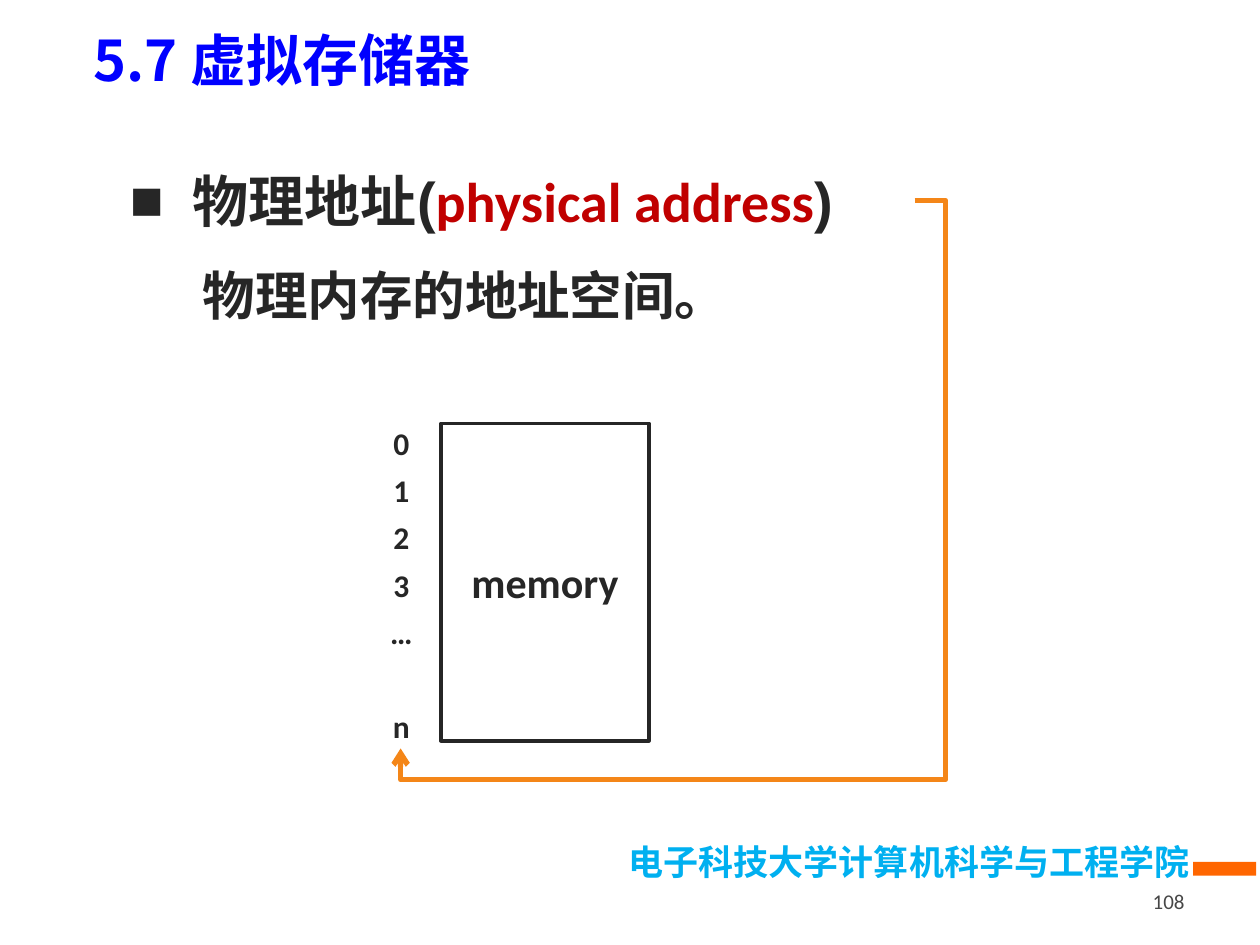
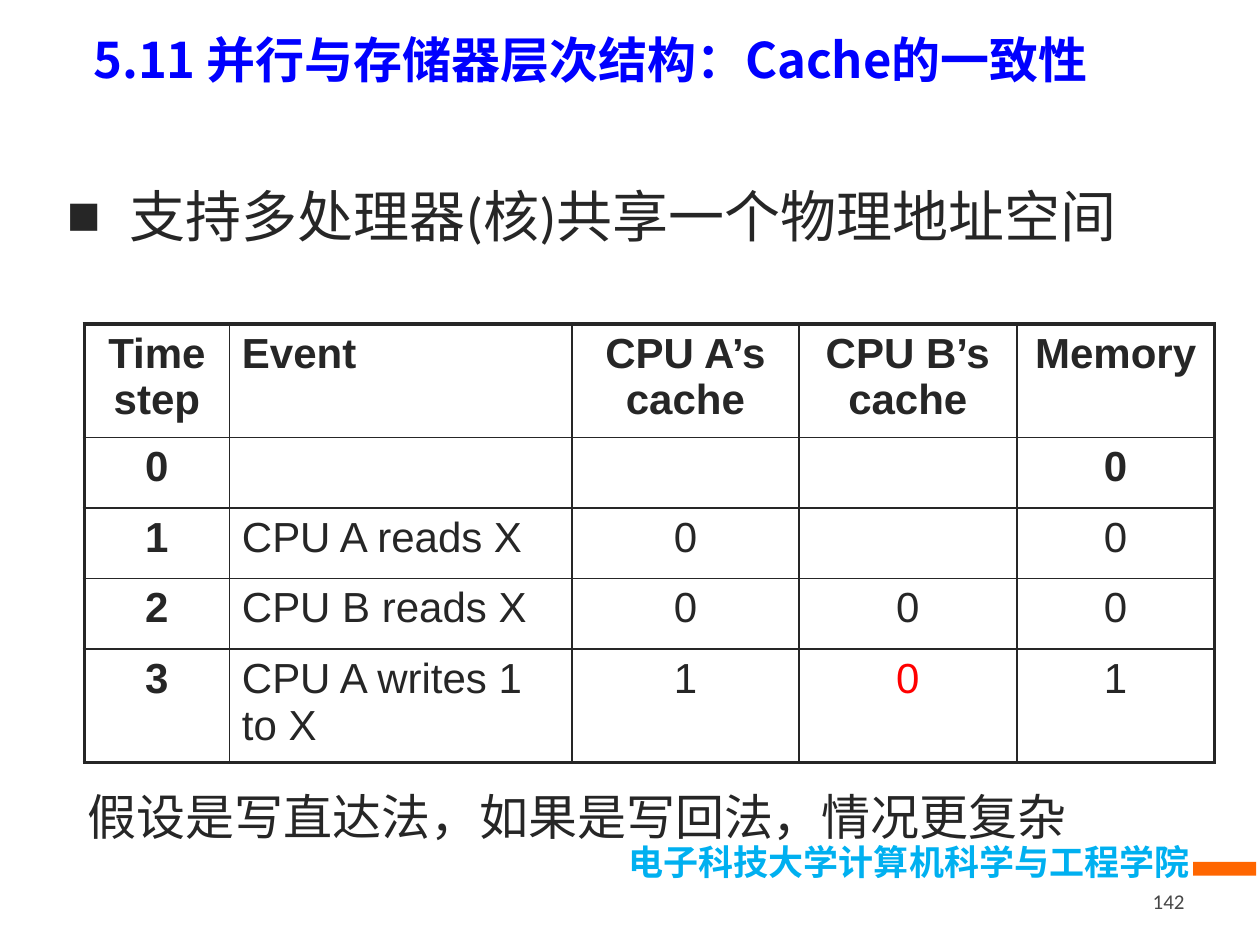
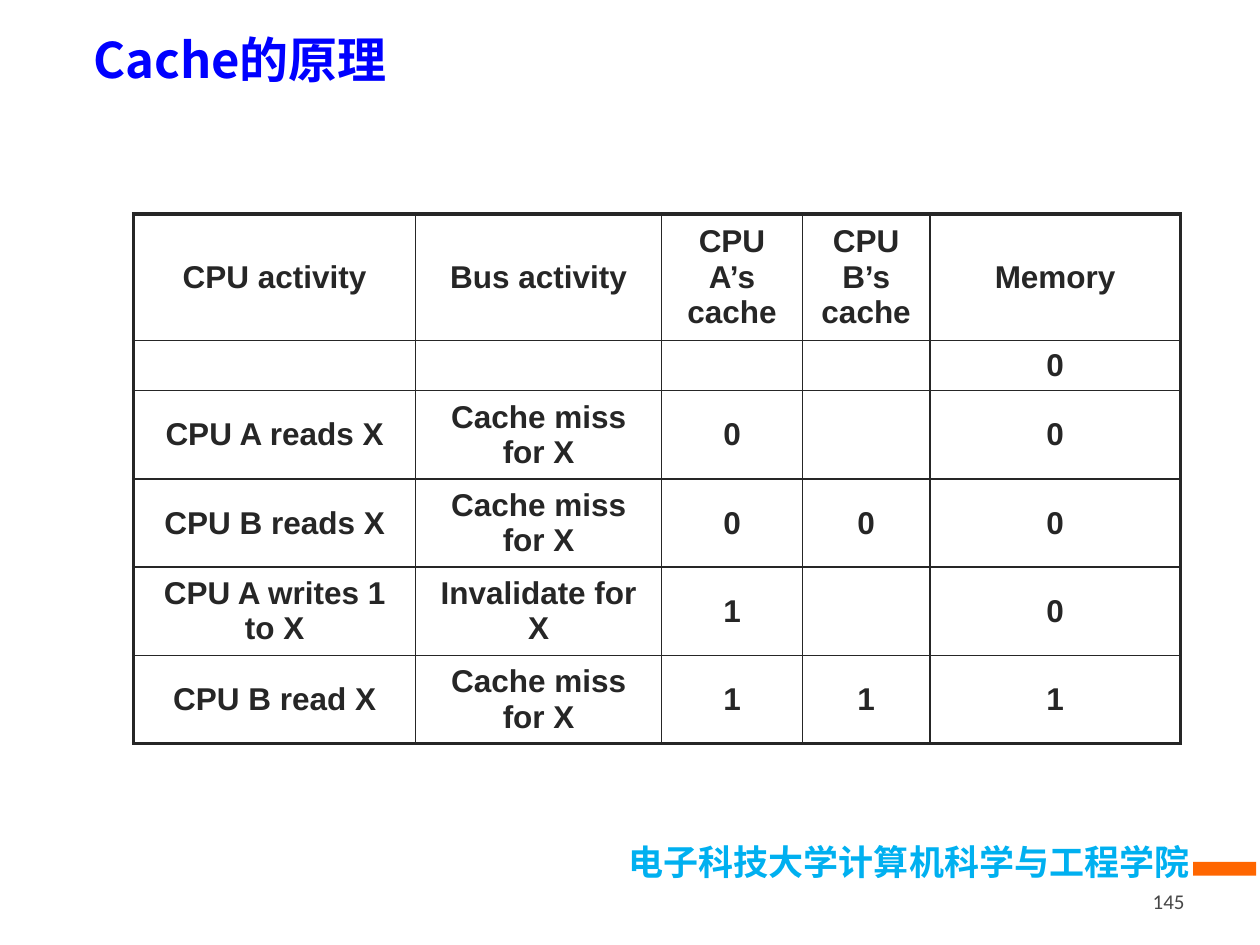
import pptx
import pptx.util
import pptx.dml.color
import pptx.enum.shapes
import pptx.enum.text
import pptx.oxml
import pptx.oxml.ns
import lxml.etree

Inches = pptx.util.Inches
Pt = pptx.util.Pt
ALIGN = pptx.enum.text.PP_ALIGN
ANCHOR = pptx.enum.text.MSO_ANCHOR
SHAPE = pptx.enum.shapes.MSO_SHAPE
qn = pptx.oxml.ns.qn

COLORS = {"ink": "262626", "title": "0000FF", "school": "00B0F0", "band": "FF6600",
          "term": "C00000", "arrow": "F48618", "stale": "FF0000", "number": "474747"}
CJK = "Noto Sans CJK SC"


def rgb(name):
    return pptx.dml.color.RGBColor.from_string(COLORS[name])


def write(para, text, size, face, color="ink", bold=False, align=ALIGN.LEFT):
    """Fill a paragraph with text in one uniform style."""
    para.text = text
    para.alignment = align
    para.space_before = Pt(0)
    para.font.size = Pt(size)
    para.font.bold = bold
    para.font.color.rgb = rgb(color)
    para.font.name = face
    east_asian = lxml.etree.SubElement(para.font._element, qn("a:ea"))
    east_asian.set("typeface", CJK)


deck = pptx.Presentation()
deck.slide_width, deck.slide_height = Inches(10), Inches(7.5)

# Slides with their titles and page numbers
pages = []
for layout, title, size, number in [
    (1, "5.7 虚拟存储器", 32, "108"),
    (1, "5.11 并行与存储器层次结构：Cache的一致性", 28, "142"),
    (5, "Cache的原理", 28, "145"),
]:
    page = deck.slides.add_slide(deck.slide_layouts[layout])
    pages.append(page)
    box = page.shapes.title
    box.left, box.top, box.width, box.height = Inches(0.64), Inches(0.09), Inches(9), Inches(0.75)
    box.text_frame.auto_size = pptx.enum.text.MSO_AUTO_SIZE.NONE
    box.text_frame.vertical_anchor = ANCHOR.MIDDLE
    write(box.text_frame.paragraphs[0], title, size, CJK, "title", True)

    box = page.shapes.add_textbox(Inches(7.17), Inches(6.95), Inches(2.33), Inches(0.4))
    box.text_frame.word_wrap = True
    box.text_frame.vertical_anchor = ANCHOR.MIDDLE
    write(box.text_frame.paragraphs[0], number, 12, "Calibri", "number", align=ALIGN.RIGHT)

address_page, coherence_page, snooping_page = pages

# School name and orange band, moved to the slide master
school = address_page.shapes.add_textbox(Inches(0.82), Inches(6.62), Inches(8.72), Inches(0.44))
school.text_frame.word_wrap = True
write(school.text_frame.paragraphs[0], "电子科技大学计算机科学与工程学院", 20, CJK,
      "school", True, ALIGN.RIGHT)
band = address_page.shapes.add_shape(SHAPE.RECTANGLE, Inches(9.47), Inches(6.84),
                                     Inches(0.5), Inches(0.11))
band.shadow.inherit = False
band.fill.solid()
band.fill.fore_color.rgb = rgb("band")
band.line.fill.background()
for shape_id, shape in enumerate([school, band], start=101):
    shape.element.xpath("p:nvSpPr/p:cNvPr")[0].set("id", str(shape_id))
    deck.slide_master.shapes.element.append(shape.element)

# Bulleted statements
for page, left, top, width, text, bold in [
    (address_page, 0.93, 1.27, 6.33, "", True),
    (coherence_page, 0.43, 1.39, 9.06, "支持多处理器(核)共享一个物理地址空间", False),
]:
    body = page.placeholders[1]
    body.left, body.top, body.width, body.height = Inches(left), Inches(top), Inches(width), Inches(0.65)
    body.text_frame.auto_size = pptx.enum.text.MSO_AUTO_SIZE.NONE
    para = body.text_frame.paragraphs[0]
    write(para, text, 32, "Calibri", bold=bold)
    properties = para._p.get_or_add_pPr()
    properties.set("marL", str(Inches(0.5)))
    properties.set("indent", str(Inches(-0.5)))
    bullet_font = lxml.etree.Element(qn("a:buFont"), typeface="Arial")
    bullet = lxml.etree.Element(qn("a:buChar"), char="■")
    default_run = properties.find(qn("a:defRPr"))
    default_run.addprevious(bullet_font)
    default_run.addprevious(bullet)

para = address_page.placeholders[1].text_frame.paragraphs[0]
for text, face, color in [("物理地址(", "Arial", "ink"),
                          ("physical address", "Calibri", "term"),
                          (")", "Arial", "ink")]:
    span = para.add_run()
    span.text = text
    span.font.name = face
    span.font.color.rgb = rgb(color)

# Slide 1: explanation
box = address_page.shapes.add_textbox(Inches(1.11), Inches(1.91), Inches(8.43), Inches(0.73))
box.text_frame.word_wrap = True
para = box.text_frame.paragraphs[0]
write(para, "物理内存的地址空间。", 30, "Arial", bold=True)
para.line_spacing = 1.25
para._p.get_or_add_pPr().set("indent", str(Inches(0.4)))

# Slide 1: memory block and its addresses
memory = address_page.shapes.add_shape(SHAPE.RECTANGLE, Inches(3.5), Inches(3.36),
                                       Inches(1.65), Inches(2.52))
memory.shadow.inherit = False
memory.fill.background()
memory.line.color.rgb = rgb("ink")
memory.line.width = Pt(2)
memory.text_frame.vertical_anchor = ANCHOR.MIDDLE
write(memory.text_frame.paragraphs[0], "memory", 24, "Calibri", bold=True, align=ALIGN.CENTER)

box = address_page.shapes.add_textbox(Inches(2.73), Inches(3.29), Inches(0.91), Inches(2.65))
frame = box.text_frame
frame.word_wrap = True
frame.margin_left = frame.margin_right = frame.margin_top = frame.margin_bottom = 0
for index, address in enumerate(["0", "1", "2", "3", "…", "n"]):
    para = frame.add_paragraph() if index else frame.paragraphs[0]
    write(para, address, 18, "Calibri", bold=True, align=ALIGN.CENTER)
    para.line_spacing = 1.25
para.space_before = Pt(27)

# Slide 1: bent arrow from the term to the last address
arrow = address_page.shapes.add_connector(pptx.enum.shapes.MSO_CONNECTOR.ELBOW, Inches(7.26),
                                          Inches(1.59), Inches(3.18), Inches(5.94))
arrow.line.color.rgb = rgb("arrow")
arrow.line.width = Pt(3)
arrow_properties = arrow.element.spPr
geometry = arrow_properties.find(qn("a:prstGeom"))
geometry.set("prst", "bentConnector4")
guides = geometry.find(qn("a:avLst"))
for name, value in [("adj1", -6000), ("adj2", 105700)]:
    lxml.etree.SubElement(guides, qn("a:gd"), name=name, fmla=f"val {value}")
lxml.etree.SubElement(arrow_properties.find(qn("a:ln")), qn("a:tailEnd"), type="arrow")
lxml.etree.SubElement(arrow_properties, qn("a:effectLst"))

# Slides 2 and 3: tables
coherence_rows = [
    ["Time step", "Event", "CPU A’s cache", "CPU B’s cache", "Memory"],
    ["0", "", "", "", "0"],
    ["1", "CPU A reads X", "0", "", "0"],
    ["2", "CPU B reads X", "0", "0", "0"],
    ["3", "CPU A writes 1 to X", "1", "0", "1"],
]
snooping_rows = [
    ["CPU activity", "Bus activity", "CPU A’s cache", "CPU B’s cache", "Memory"],
    ["", "", "", "", "0"],
    ["CPU A reads X", "Cache miss for X", "0", "", "0"],
    ["CPU B reads X", "Cache miss for X", "0", "0", "0"],
    ["CPU A writes 1 to X", "Invalidate for X", "1", "", "0"],
    ["CPU B read X", "Cache miss for X", "1", "1", "1"],
]
for page, left, top, widths, heights, rows, size, anchor in [
    (coherence_page, 0.67, 2.57, [1.15, 2.72, 1.8, 1.73, 1.57],
     [0.9, 0.56, 0.56, 0.56, 0.9], coherence_rows, 24, ANCHOR.TOP),
    (snooping_page, 1.06, 1.7, [2.24, 1.95, 1.12, 1.01, 1.99],
     [0.94, 0.38, 0.66, 0.66, 0.66, 0.66], snooping_rows, 18, ANCHOR.MIDDLE),
]:
    table = page.shapes.add_table(len(heights), len(widths), Inches(left), Inches(top),
                                  Inches(sum(widths)), Inches(sum(heights))).table
    table.first_row = table.horz_banding = False
    for column, width in zip(table.columns, widths):
        column.width = Inches(width)
    for row, height in zip(table.rows, heights):
        row.height = Inches(height)
    last_row, last_column = len(heights) - 1, len(widths) - 1
    for r, texts in enumerate(rows):
        for c, text in enumerate(texts):
            cell = table.cell(r, c)
            cell.vertical_anchor = anchor
            on_coherence = page is coherence_page
            stale = on_coherence and (r, c) == (last_row, 3)
            write(cell.text_frame.paragraphs[0], text, size, "Arial",
                  "stale" if stale else "ink",
                  bold=not on_coherence or r <= 1 or c == 0,
                  align=ALIGN.LEFT if on_coherence and c == 1 else ALIGN.CENTER)
            # Thick outer frame, thin inner grid
            cell_properties = cell._tc.get_or_add_tcPr()
            for side, outer in [("lnL", c == 0), ("lnR", c == last_column),
                                ("lnT", r == 0), ("lnB", r == last_row)]:
                border = lxml.etree.SubElement(cell_properties, qn(f"a:{side}"),
                                               w=str(Pt(2.25 if outer else 1)))
                fill = lxml.etree.SubElement(border, qn("a:solidFill"))
                lxml.etree.SubElement(fill, qn("a:srgbClr"), val=COLORS["ink"])
            cell.fill.background()

# Slide 2: closing remark
box = coherence_page.shapes.add_textbox(Inches(0.6), Inches(6.19), Inches(9.06), Inches(0.58))
box.text_frame.word_wrap = True
write(box.text_frame.paragraphs[0], "假设是写直达法，如果是写回法，情况更复杂", 28, "Calibri")

deck.save("out.pptx")
